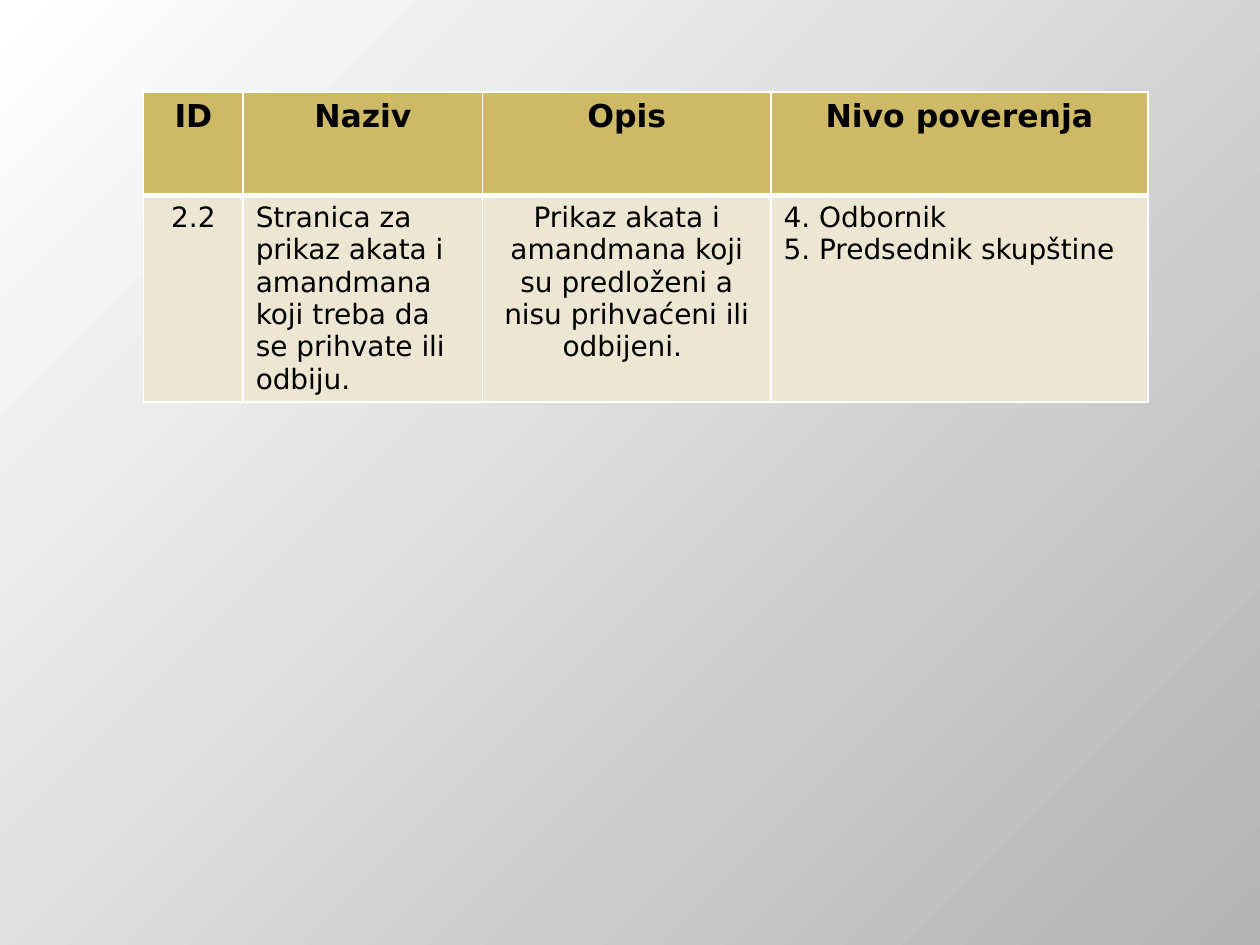
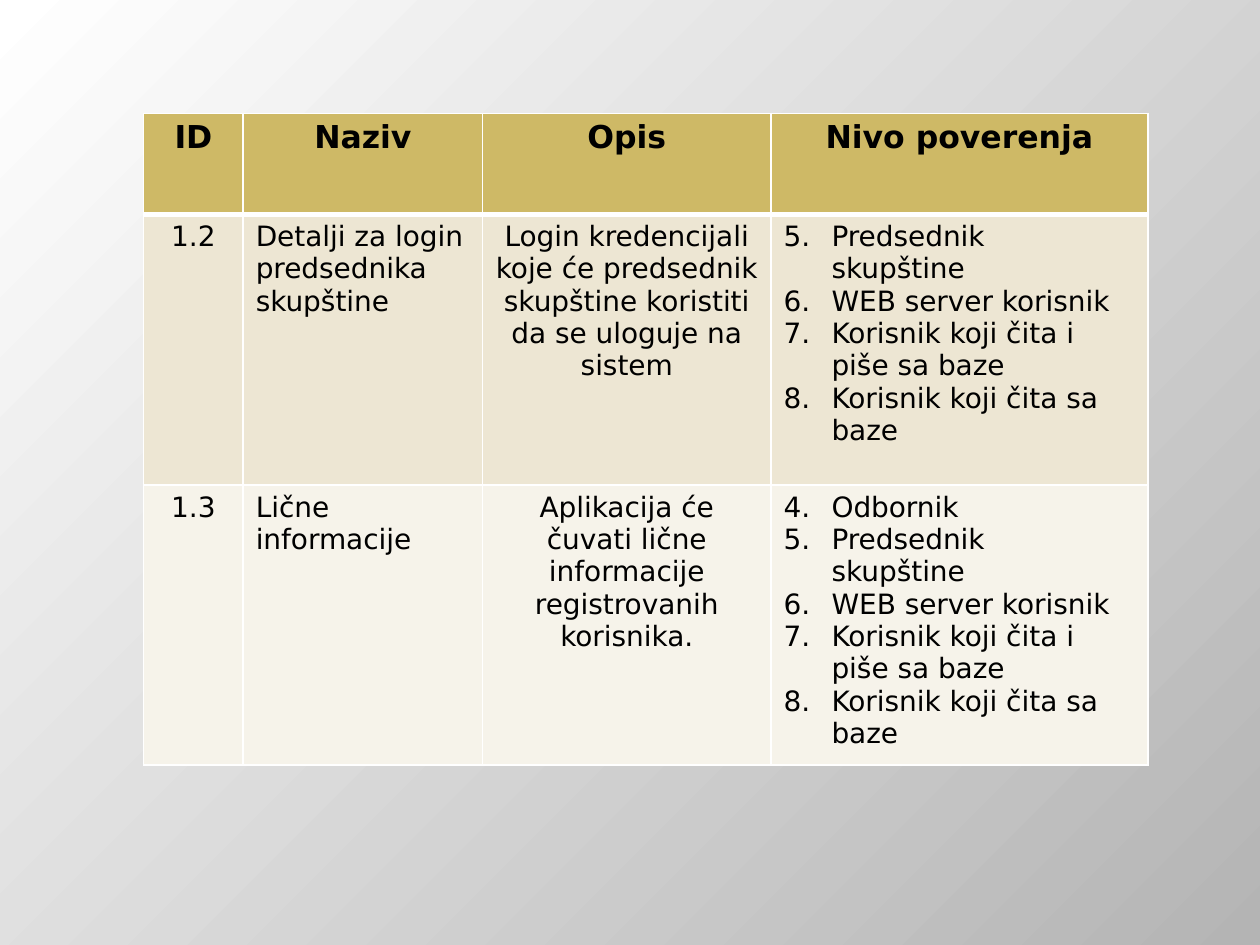
import pptx
import pptx.dml.color
import pptx.enum.text
import pptx.oxml
import pptx.oxml.ns
import pptx.util
from pptx.util import Inches

# Content: a list cell holds paragraphs, a dict cell holds a numbered list
HEADER = ["ID", "Naziv", "Opis", "Nivo poverenja"]
FULL_ACCESS = [
    "Predsednik skupštine",
    "WEB server korisnik",
    "Korisnik koji čita i piše sa baze",
    "Korisnik koji čita sa baze",
]
TABLES = [
    {
        "top": 0.73,
        "heights": [0.82, 1.64],
        "rows": [
            ["2.2",
             "Stranica za prikaz akata i amandmana koji treba da se prihvate ili odbiju.",
             "Prikaz akata i amandmana koji su predloženi a nisu prihvaćeni ili odbijeni. ",
             ["4. Odbornik", "5. Predsednik skupštine"]],
        ],
    },
    {
        "top": 0.9,
        "heights": [0.8, 2.15, 2.22],
        "rows": [
            ["1.2",
             "Detalji za login predsednika skupštine",
             "Login kredencijali koje će predsednik skupštine koristiti da se uloguje na sistem",
             {"typed": [], "numbered": FULL_ACCESS}],
            ["1.3",
             "Lične informacije",
             "Aplikacija će čuvati lične informacije registrovanih korisnika.",
             {"typed": ["4.\tOdbornik"], "numbered": FULL_ACCESS}],
        ],
    },
]

# Shared style
COLORS = {
    "header": "CEB966", "band_odd": "EDE6D3", "band_even": "F6F3EA",
    "border": "FFFFFF", "text": "000000",
    "background_start": "FFFFFF", "background_end": "B4B4B4",
}
FONT = "DejaVu Sans"
TABLE_LEFT = 1.14
COLUMN_WIDTHS = [0.79, 1.9, 2.29, 2.99]
CENTERED_COLUMNS = (0, 2)
FIRST_NUMBER = 5
LIST_INDENT = 0.38
LIST_RIGHT_MARGIN = 0.22
NAMESPACE = pptx.oxml.ns.nsdecls("a")


def rgb(name):
    return pptx.dml.color.RGBColor.from_string(COLORS[name])


def set_background(master):
    fill = master.background.fill
    fill.gradient()
    for stop, name in zip(fill.gradient_stops, ("background_start", "background_end")):
        stop.color.rgb = rgb(name)
    gradient = master.element.find(".//" + pptx.oxml.ns.qn("a:gradFill"))
    linear = gradient.find(pptx.oxml.ns.qn("a:lin"))
    gradient.replace(linear, pptx.oxml.parse_xml(
        f'<a:path {NAMESPACE} path="circle"><a:fillToRect r="100000" b="100000"/></a:path>'))


def write_text(paragraph, text, size=16, bold=False, centered=False,
               hanging=False, numbered=False):
    properties = paragraph._p.get_or_add_pPr()
    if hanging:
        properties.set("marL", str(Inches(LIST_INDENT)))
        properties.set("indent", str(-Inches(LIST_INDENT)))
    if numbered:
        properties.append(pptx.oxml.parse_xml(
            f'<a:buAutoNum {NAMESPACE} type="arabicPeriod" startAt="{FIRST_NUMBER}"/>'))
    alignment = pptx.enum.text.PP_ALIGN
    paragraph.alignment = alignment.CENTER if centered else alignment.LEFT
    run = paragraph.add_run()
    run.text = text
    run.font.name = FONT
    run.font.size = pptx.util.Pt(size)
    run.font.bold = bold
    run.font.color.rgb = rgb("text")


def set_borders(cell, top=1, bottom=1):
    properties = cell._tc.get_or_add_tcPr()
    for side, width in (("L", 1), ("R", 1), ("T", top), ("B", bottom)):
        properties.append(pptx.oxml.parse_xml(
            f'<a:ln{side} {NAMESPACE} w="{pptx.util.Pt(width)}"><a:solidFill>'
            f'<a:srgbClr val="{COLORS["border"]}"/></a:solidFill></a:ln{side}>'))


def fill_cell(cell, content, row, column):
    # Thick rule under the header, alternating bands below it
    set_borders(cell, top=3 if row == 1 else 1, bottom=3 if row == 0 else 1)
    cell.fill.solid()
    band = "band_odd" if row % 2 else "band_even"
    cell.fill.fore_color.rgb = rgb("header" if row == 0 else band)

    # Paragraphs as (text, format) pairs
    if isinstance(content, dict):
        cell.margin_right = Inches(LIST_RIGHT_MARGIN)
        lines = [(text, {"hanging": True}) for text in content["typed"]]
        lines += [(text, {"hanging": True, "numbered": True})
                  for text in content["numbered"]]
    elif isinstance(content, list):
        lines = [(text, {}) for text in content]
    elif row == 0:
        lines = [(content, {"size": 18, "bold": True, "centered": True})]
    else:
        lines = [(content, {"centered": column in CENTERED_COLUMNS})]

    frame = cell.text_frame
    for index, (text, text_format) in enumerate(lines):
        paragraph = frame.add_paragraph() if index else frame.paragraphs[0]
        write_text(paragraph, text, **text_format)


def add_trust_table(slide, top, heights, rows):
    rows = [HEADER] + rows
    table = slide.shapes.add_table(
        len(rows), len(HEADER), Inches(TABLE_LEFT), Inches(top),
        Inches(sum(COLUMN_WIDTHS)), Inches(sum(heights))).table
    table.first_row = False
    table.horz_banding = False
    for column, width in zip(table.columns, COLUMN_WIDTHS):
        column.width = Inches(width)
    for row, height in zip(table.rows, heights):
        row.height = Inches(height)
    for row_index, row in enumerate(rows):
        for column_index, content in enumerate(row):
            fill_cell(table.cell(row_index, column_index), content,
                      row_index, column_index)


def main():
    presentation = pptx.Presentation()
    presentation.slide_width = Inches(10)
    presentation.slide_height = Inches(7.5)
    set_background(presentation.slide_master)
    blank_layout = presentation.slide_layouts[6]
    for table in TABLES:
        add_trust_table(presentation.slides.add_slide(blank_layout), **table)
    presentation.save("out.pptx")


if __name__ == "__main__":
    main()
